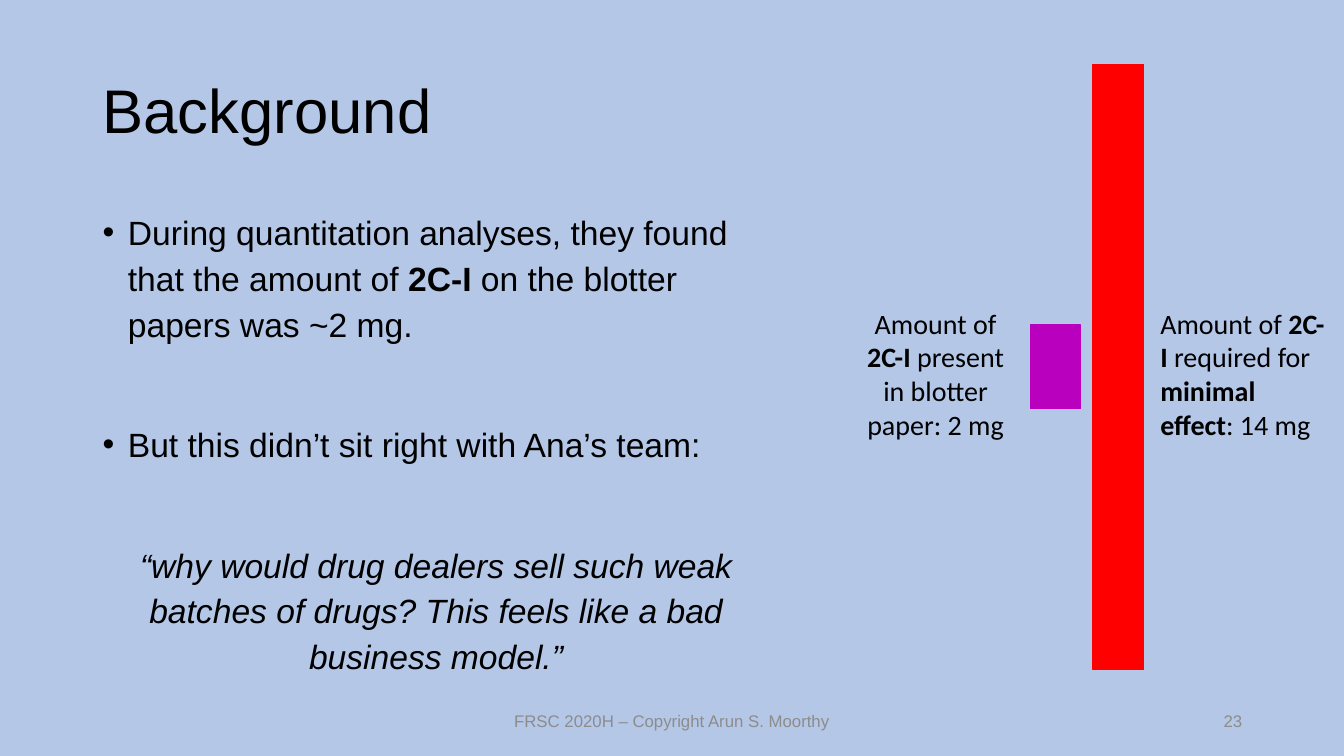
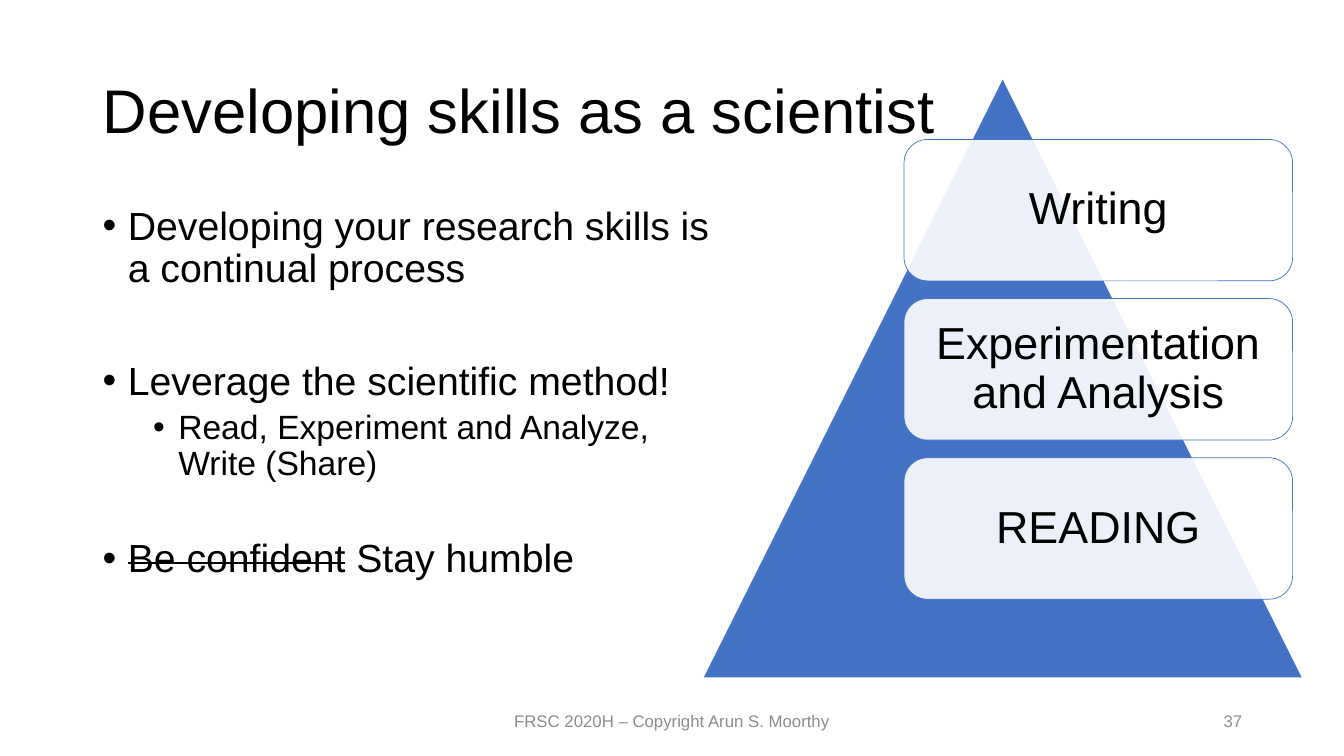
from lxml import etree
from pptx import Presentation
from pptx import util as u
from pptx.dml.color import RGBColor
from pptx.enum import shapes, text
from pptx.oxml.ns import qn

W, H = 13.33, 7.5
COLORS = {
    "ink": "000000", "footer": "8C8C8C", "white": "FFFFFF", "sky": "B4C7E7",
    "blue": "4472C4", "purple": "B800BE", "red": "FF0000",
}
FONT, LABEL_FONT = "Arial", "Calibri"
FOOTER = "FRSC 2020H – Copyright Arun S. Moorthy"
LEFT, CENTER, RIGHT = text.PP_ALIGN.LEFT, text.PP_ALIGN.CENTER, text.PP_ALIGN.RIGHT
TOP, MIDDLE = text.MSO_ANCHOR.TOP, text.MSO_ANCHOR.MIDDLE
SHAPE = shapes.MSO_SHAPE


def rgb(name):
    return RGBColor.from_string(COLORS[name])


def inches(box):
    return [u.Inches(v) for v in box]


def add_runs(p, runs, size, font=FONT, color="ink"):
    """Each run is a string, or a (string, style) pair; style is bold, italic or strike."""
    for item in runs:
        words, style = (item, None) if isinstance(item, str) else item
        r = p.add_run()
        r.text = words
        r.font.size, r.font.name = u.Pt(size), font
        r.font.color.rgb = rgb(color)
        if style == "strike":
            r.font._element.set("strike", "sngStrike")
        elif style:
            setattr(r.font, style, True)


def set_bullet(p, level):
    pPr = p._p.get_or_add_pPr()
    pPr.set("marL", str(u.Inches(0.25 + 0.5 * level)))
    pPr.set("indent", str(u.Inches(-0.25)))
    etree.SubElement(pPr, qn("a:buFont")).set("typeface", "Arial")
    etree.SubElement(pPr, qn("a:buChar")).set("char", "•")
    p.level = level


def add_text(s, box, runs, size, align=LEFT, anchor=TOP, spacing=None, **style):
    tf = s.shapes.add_textbox(*inches(box)).text_frame
    tf.word_wrap, tf.vertical_anchor = True, anchor
    p = tf.paragraphs[0]
    p.alignment, p.line_spacing = align, spacing
    add_runs(p, runs, size, **style)


def add_body(s, box, spacing, items):
    """Each item is (runs, size, space before, level); level None is a centred quote."""
    tf = s.shapes.add_textbox(*inches(box)).text_frame
    tf.word_wrap = True
    for i, (runs, size, before, level) in enumerate(items):
        p = tf.add_paragraph() if i else tf.paragraphs[0]
        if level is None:
            p.alignment = CENTER
        else:
            set_bullet(p, level)
        p.line_spacing, p.space_before = spacing, u.Pt(before)
        add_runs(p, runs, size)


def add_shape(s, kind, box, fill, line=None, width=1.0):
    sp = s.shapes.add_shape(kind, *inches(box))
    sp.shadow.inherit = False
    sp.fill.solid()
    sp.fill.fore_color.rgb = rgb(fill)
    if line:
        sp.line.color.rgb = rgb(line)
        sp.line.width = u.Pt(width)
    else:
        sp.line.fill.background()
    return sp


def add_slide(prs, title, number, background):
    s = prs.slides.add_slide(prs.slide_layouts[6])
    s.background.fill.solid()
    s.background.fill.fore_color.rgb = rgb(background)
    add_text(s, (0.92, 0.4, 11.5, 1.45), [title], 44, anchor=MIDDLE, spacing=0.9)
    for box, words, align in (((3.95, 6.95, 5.43, 0.4), FOOTER, CENTER),
                              ((9.42, 6.95, 3, 0.4), str(number), RIGHT)):
        add_text(s, box, [words], 12, align, MIDDLE, color="footer")
    return s


def dose_bars(s, box):
    """Two bars centred on one line, with a label on each outer side."""
    x, y, w, h = box
    bar, gap = 0.5, 0.12
    middle = y + h / 2
    left_label, right_label = 1.66, 1.84
    present_x = x + left_label + 0.11
    required_x = present_x + bar + gap
    for bar_x, height, color in ((present_x, 0.83, "purple"), (required_x, h, "red")):
        add_shape(s, SHAPE.RECTANGLE, (bar_x, middle - height / 2, bar, height),
                  color, color)
    label_y, label_h = middle - 0.65, 1.45
    add_text(s, (x, label_y, left_label, label_h),
             ["Amount of ", ("2C-I", "bold"), " present in blotter paper: 2 mg"],
             20, CENTER, font=LABEL_FONT)
    add_text(s, (x + w - right_label, label_y, right_label, label_h),
             ["Amount of ", ("2C-I", "bold"), " required for ",
              ("minimal effect", "bold"), ": 14 mg"],
             20, font=LABEL_FONT)


def skills_pyramid(s, box, labels):
    """A triangle with a column of translucent cards over its right part."""
    x, y, w, h = box
    add_shape(s, SHAPE.ISOSCELES_TRIANGLE, box, "blue")
    card_w, card_h = 0.65 * w, 0.2367 * h
    pitch = card_h * 1.125
    for i, label in enumerate(labels):
        card = add_shape(s, SHAPE.ROUNDED_RECTANGLE,
                         (x + w / 3 + 0.01, y + 0.1 * h + i * pitch, card_w, card_h),
                         "white", "blue", 0.5)
        color = card.fill._xPr.find(".//" + qn("a:srgbClr"))
        etree.SubElement(color, qn("a:alpha")).set("val", "90000")
        tf = card.text_frame
        tf.word_wrap, tf.vertical_anchor = True, MIDDLE
        tf.margin_left = tf.margin_right = u.Inches(0.13)
        tf.margin_top = tf.margin_bottom = u.Inches(0.13)
        p = tf.paragraphs[0]
        p.alignment, p.line_spacing = CENTER, 0.9
        add_runs(p, [label], 32)


def background_slide(prs):
    s = add_slide(prs, "Background", 23, "sky")
    add_body(s, (0.92, 2, 6.81, 4.76), 1.14, [
        (["During quantitation analyses, they found that the amount of ",
          ("2C-I", "bold"), " on the blotter papers was ~2 mg."], 24, 0, 0),
        (["But this didn’t sit right with Ana’s team:"], 24, 53, 0),
        ([("“why would drug dealers sell such weak batches of drugs? "
           "This feels like a bad business model.”", "italic")], 24, 53, None),
    ])
    dose_bars(s, (8.45, 0.64, 4.8, 6))


def skills_slide(prs):
    s = add_slide(prs, "Developing skills as a scientist", 37, "white")
    add_body(s, (0.92, 2, 6.24, 4.76), 0.9, [
        (["Developing your research skills is a continual process"], 28, 0, 0),
        (["Leverage the scientific method!"], 28, 50, 0),
        (["Read, Experiment and Analyze, Write (Share)"], 24, 5, 1),
        ([("Be confident", "strike"), " Stay humble"], 28, 40, 0),
    ])
    skills_pyramid(s, (6.98, 0.79, 5.93, 5.93),
                   ["Writing", "Experimentation and Analysis", "READING"])


def main():
    prs = Presentation()
    prs.slide_width, prs.slide_height = u.Inches(W), u.Inches(H)
    background_slide(prs)
    skills_slide(prs)
    prs.save("out.pptx")


if __name__ == "__main__":
    main()
